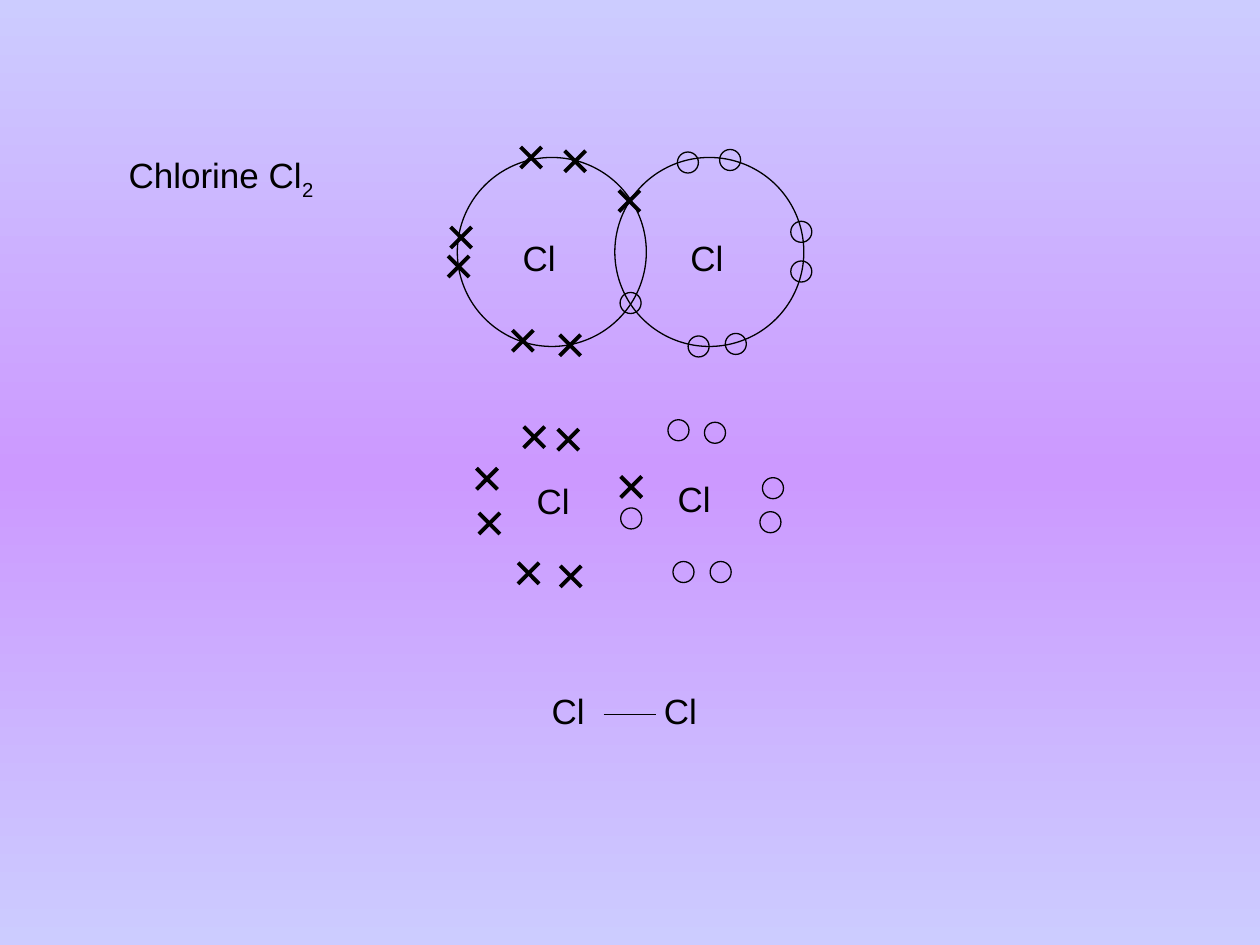
import copy
from typing import Any, NamedTuple

import pptx
import pptx.dml.color
import pptx.enum.shapes
import pptx.enum.text
import pptx.oxml.ns
import pptx.oxml.xmlchemy
import pptx.util

COLS, ROWS = 100, 75
DOT = 1.67  # electron size in columns
INK, EDGE, BAND = "000000", "CCCCFF", "CC99FF"


class Spot(NamedTuple):
    x: float
    y: float


class Label(NamedTuple):
    x: float
    y: float
    wide: float = 5.8
    high: float = 4.4
    text: str = "Cl"


class Bond(NamedTuple):
    rings: list[Spot]
    dots: list[Spot]
    marks: list[Spot]
    names: list[Label]


# Centres of the electrons; corners of the labels
LEWIS = Bond(
    rings=[],
    dots=[Spot(50.1, 41.15), Spot(53.85, 34.15), Spot(56.75, 34.35),
          Spot(61.35, 38.75), Spot(61.15, 41.45), Spot(54.25, 45.4),
          Spot(57.2, 45.4)],
    marks=[Spot(50.1, 38.65), Spot(42.4, 34.7), Spot(45.1, 34.9),
           Spot(38.65, 38), Spot(38.85, 41.55), Spot(41.95, 45.5),
           Spot(45.3, 45.75)],
    names=[Label(41.6, 37.6), Label(52.8, 37.4)],
)
SHELLS = Bond(
    rings=[Spot(43.8, 20), Spot(56.3, 20)],
    dots=[Spot(54.6, 12.9), Spot(57.95, 12.7), Spot(63.6, 18.4),
          Spot(63.6, 21.55), Spot(55.45, 27.5), Spot(58.4, 27.3),
          Spot(50.05, 24.05)],
    marks=[Spot(36.6, 18.85), Spot(45.65, 12.8), Spot(42.15, 12.5),
           Spot(36.4, 21.15), Spot(49.95, 15.95), Spot(45.25, 27.4),
           Spot(41.5, 27.05)],
    names=[Label(40.5, 18.3), Label(53.8, 18.3)],
)

deck = pptx.Presentation()
deck.slide_width = pptx.util.Inches(10)
deck.slide_height = pptx.util.Inches(7.5)


def col(n: float) -> int:
    return round(deck.slide_width * n / COLS)


def row(n: float) -> int:
    return round(deck.slide_height * n / ROWS)


def tint(code: str) -> pptx.dml.color.RGBColor:
    return pptx.dml.color.RGBColor.from_string(code)


def pen(line: Any, width: float) -> None:
    line.color.rgb = tint(INK)
    line.width = pptx.util.Pt(width)


def ring(home: Any, mid: Spot, size: float) -> None:
    shape = home.add_shape(
        pptx.enum.shapes.MSO_SHAPE.OVAL, col(mid.x - size / 2),
        row(mid.y - size / 2), col(size), row(size))
    shape.shadow.inherit = False
    shape.fill.background()
    pen(shape.line, 0.75)


def stroke(home: Any, start: Spot, end: Spot, width: float) -> None:
    line = home.add_connector(
        pptx.enum.shapes.MSO_CONNECTOR.STRAIGHT,
        col(start.x), row(start.y), col(end.x), row(end.y))
    pen(line.line, width)
    line.element.spPr.append(
        pptx.oxml.xmlchemy.OxmlElement("a:effectLst"))


def cross(home: Any, mid: Spot) -> None:
    half = DOT / 2
    for rise in (half, -half):
        stroke(home, Spot(mid.x - half, mid.y + rise),
               Spot(mid.x + half, mid.y - rise), 2.25)


def style(run: Any) -> None:
    run.font.name = "Arial"
    run.font.size = pptx.util.Pt(20)
    run.font.color.rgb = tint(INK)


def write(box: Any, text: str) -> Any:
    frame = box.text_frame
    frame.text = text
    frame.word_wrap = True
    frame.vertical_anchor = pptx.enum.text.MSO_ANCHOR.TOP
    frame.auto_size = pptx.enum.text.MSO_AUTO_SIZE.NONE
    para = frame.paragraphs[0]
    para.alignment = pptx.enum.text.PP_ALIGN.LEFT
    style(para.runs[0])
    return para


def label(home: Any, item: Label) -> None:
    box = home.add_textbox(col(item.x), row(item.y),
                           col(item.wide), row(item.high))
    write(box, item.text)


def draw(home: Any, bond: Bond) -> None:
    for mid in bond.rings:
        ring(home, mid, 15)
    for mid in bond.dots:
        ring(home, mid, DOT)
    for mid in bond.marks:
        cross(home, mid)
    for item in bond.names:
        label(home, item)


def paint(slide: Any) -> None:
    fill = slide.background.fill
    fill.gradient()
    fill.gradient_angle = 90
    stops = slide.element.find(".//" + pptx.oxml.ns.qn("a:gsLst"))
    stops.insert(1, copy.deepcopy(stops[0]))
    for stop, share, code in zip(fill.gradient_stops, (0, 0.5, 1),
                                 (EDGE, BAND, EDGE)):
        stop.position = share
        stop.color.rgb = tint(code)


def main() -> None:
    slide = deck.slides.add_slide(deck.slide_layouts[5])
    paint(slide)

    # Title with subscript
    title = slide.shapes.title
    title.left, title.top = col(9.2), row(11.7)
    title.width, title.height = col(31.7), row(4.8)
    para = write(title, "Chlorine Cl")
    sub = para.add_run()
    sub.text = "2"
    style(sub)
    sub.font._element.set("baseline", "-25000")

    # Electron diagrams
    for bond in (LEWIS, SHELLS):
        draw(slide.shapes.add_group_shape().shapes, bond)

    # Single bond
    label(slide.shapes, Label(42.8, 54.2, 5.6))
    label(slide.shapes, Label(51.7, 54.2, 4.7))
    stroke(slide.shapes, Spot(47.9, 56.7), Spot(52.1, 56.7), 0.75)

    deck.save("out.pptx")


if __name__ == "__main__":
    main()
